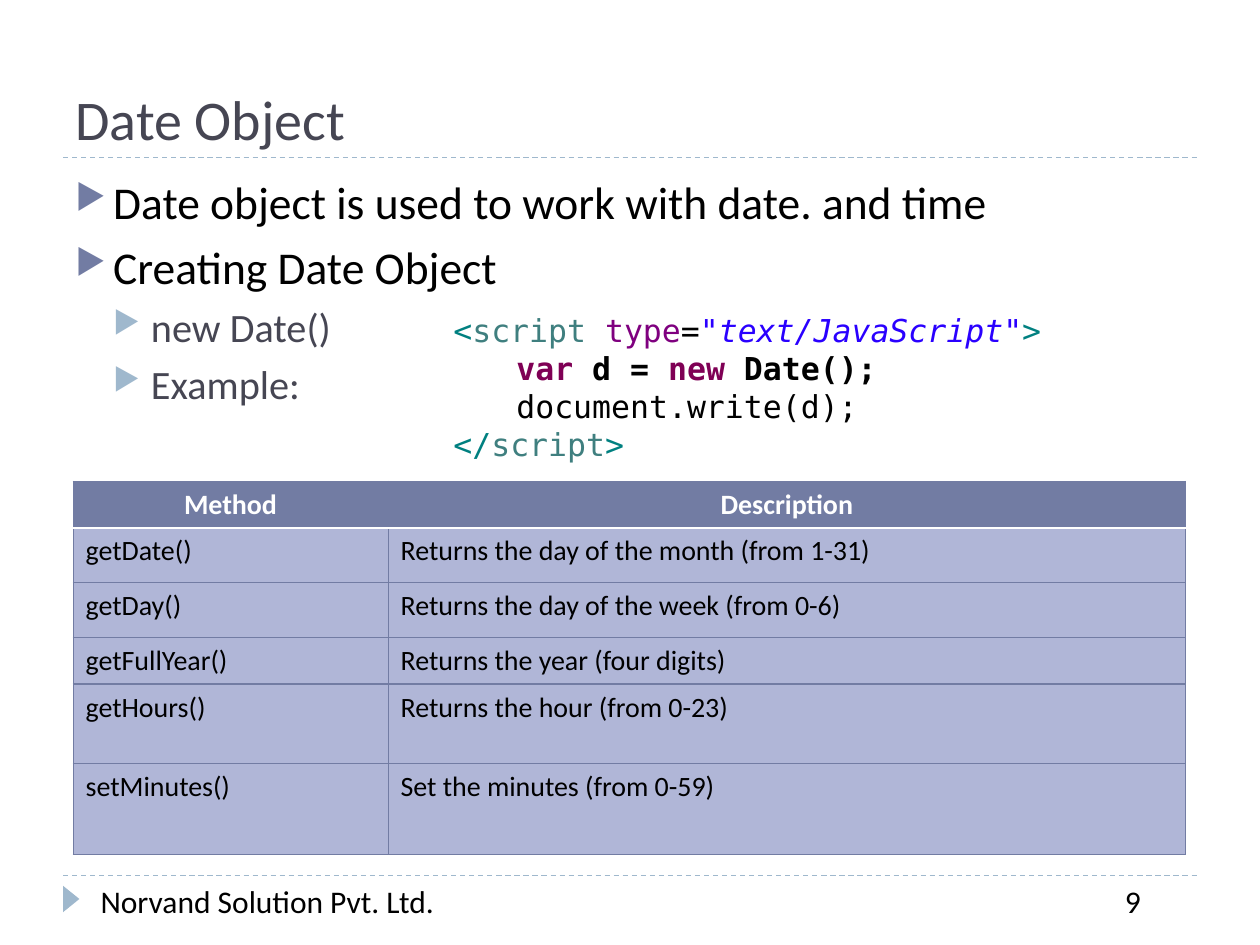
import pptx
import pptx.util
import pptx.dml.color
import pptx.enum.dml
import pptx.enum.shapes
import pptx.enum.text
import pptx.oxml
import pptx.oxml.ns

HUES = {
    "ink": "000000", "white": "FFFFFF", "title": "464653", "main": "727CA3",
    "pale": "9FB8CD", "cell": "B0B6D7", "tag": "008080", "name": "3F7F7F",
    "attr": "7F007F", "text": "2A00FF", "key": "7F0055",
}
COLS, ROWS = 20, 15
SANS, MONO = "Calibri", "DejaVu Sans Mono"

deck = pptx.Presentation()
deck.slide_width = pptx.util.Inches(10)
deck.slide_height = pptx.util.Inches(7.5)
slide = deck.slides.add_slide(deck.slide_layouts[6])


def across(n):
    return int(deck.slide_width * n / COLS)


def down(n):
    return int(deck.slide_height * n / ROWS)


def place(box):
    left, top, wide, high = box
    return across(left), down(top), across(wide), down(high)


def rgb(hue):
    return pptx.dml.color.RGBColor.from_string(HUES[hue])


def node(xml):
    return pptx.oxml.parse_xml(xml.replace(">", " " + pptx.oxml.ns.nsdecls("a") + ">", 1))


def write(par, text, size=18, font=SANS, hue="ink", bold=False, slant=False):
    run = par.add_run()
    run.text = text
    run.font.size = pptx.util.Pt(size)
    run.font.name = font
    run.font.color.rgb = rgb(hue)
    run.font.bold = bold
    run.font.italic = slant


def frame(box, low=False):
    text = slide.shapes.add_textbox(*place(box)).text_frame
    text.word_wrap = True
    if low:
        text.vertical_anchor = pptx.enum.text.MSO_ANCHOR.BOTTOM
    return text


def lines(text, count):
    return [text.paragraphs[0]] + [text.add_paragraph() for _ in range(count - 1)]


def indent(par, left, hang=0):
    prop = par._p.get_or_add_pPr()
    prop.set("marL", str(pptx.util.Inches(left)))
    prop.set("indent", str(-pptx.util.Inches(hang)))
    return prop


def rule(left, top, wide):
    line = slide.shapes.add_connector(
        pptx.enum.shapes.MSO_CONNECTOR.STRAIGHT,
        across(left), down(top), across(left + wide), down(top))
    line.line.color.rgb = rgb("pale")
    line.line.width = pptx.util.Pt(0.75)
    line.line.dash_style = pptx.enum.dml.MSO_LINE.DASH
    line._element.spPr.append(node("<a:effectLst></a:effectLst>"))


def header(box, text):
    left, top, wide, high = box
    write(frame(box, low=True).paragraphs[0], text, size=32, hue="title")
    rule(left, top + high, wide)


def points(box, items):
    # Size, text colour, bullet colour and space before, by level
    looks = [(26, "ink", "main", 6), (23, "title", "pale", 5)]
    for par, (level, text) in zip(lines(frame(box), len(items)), items):
        size, hue, mark, gap = looks[level]
        par.level = level
        par.space_before = pptx.util.Pt(gap)
        prop = indent(par, 0.3 * (level + 1), 0.3)
        prop.append(node(f'<a:buClr><a:srgbClr val="{HUES[mark]}"/></a:buClr>'))
        prop.append(node('<a:buSzPct val="76000"></a:buSzPct>'))
        prop.append(node('<a:buChar char="▶"></a:buChar>'))
        write(par, text, size=size, hue=hue)


def code(box, rows):
    for par, (level, bold, parts) in zip(lines(frame(box), len(rows)), rows):
        par.level = level
        indent(par, 0.5 * level)
        for text, hue in parts:
            write(par, text, font=MONO, hue=hue, bold=bold, slant=hue == "text")


def edge(cell, side, hue="main", width=0.75):
    cell._tc.get_or_add_tcPr().append(node(
        f'<a:ln{side} w="{pptx.util.Pt(width)}"><a:solidFill>'
        f'<a:srgbClr val="{HUES[hue]}"/></a:solidFill></a:ln{side}>'))


def grid(box, cols, rows, data):
    table = slide.shapes.add_table(len(rows), len(cols), *place(box)).table
    for col, share in zip(table.columns, cols):
        col.width = across(share)
    for row, share in zip(table.rows, rows):
        row.height = down(share)
    for r, texts in enumerate(data):
        head = r == 0
        for c, text in enumerate(texts):
            cell = table.cell(r, c)
            for side in "LRTB":
                if (r, side) in ((0, "B"), (1, "T")):
                    edge(cell, side, "white", 1.5)
                else:
                    edge(cell, side)
            cell.fill.solid()
            cell.fill.fore_color.rgb = rgb("main" if head else "cell")
            par = cell.text_frame.paragraphs[0]
            if head:
                par.alignment = pptx.enum.text.PP_ALIGN.CENTER
            write(par, text, size=16, hue="white" if head else "ink", bold=head)


def footer(box, firm, page):
    left, top, wide, high = box
    rule(left, top, wide)
    # Marker
    mark = slide.shapes.add_shape(
        pptx.enum.shapes.MSO_SHAPE.ISOSCELES_TRIANGLE,
        *place((left - 0.08, top + 0.24, 0.42, 0.26)))
    mark.rotation = 90
    mark.shadow.inherit = False
    mark.fill.solid()
    mark.fill.fore_color.rgb = rgb("pale")
    mark.line.fill.background()
    # Firm and page number
    write(frame((left + 0.4, top, 7.6, high)).paragraphs[0], firm)
    write(frame((left + wide - 1.34, top, 1.34, high)).paragraphs[0], page)


header((1, 0.34, 18, 2.16), "Date Object")
points((1, 2.66, 18, 4.16), [
    (0, "Date object is used to work with date. and time"),
    (0, "Creating Date Object"),
    (1, "new Date()"),
    (1, "Example:"),
])
code((7, 4.84, 10, 2.62), [
    (0, False, [("<", "tag"), ("script ", "name"), ("type", "attr"), ("=", "ink"),
                ('"text/JavaScript"', "text"), (">", "tag")]),
    (1, True, [("var", "key"), (" d = ", "ink"), ("new", "key"), (" Date();", "ink")]),
    (1, False, [("document.write(d);", "ink")]),
    (0, False, [("</", "tag"), ("script", "name"), (">", "tag")]),
])
grid((1.16, 7.64, 17.66, 5.92), (5, 12.66), (0.74, 0.87, 0.87, 0.74, 1.26, 1.44), [
    ("Method", "Description"),
    ("getDate()", "Returns the day of the month (from 1-31)"),
    ("getDay()", "Returns the day of the week (from 0-6)"),
    ("getFullYear()", "Returns the year (four digits)"),
    ("getHours()", "Returns the hour (from 0-23)"),
    ("setMinutes()", "Set the minutes (from 0-59)"),
])
footer((1, 13.9, 18, 0.8), "Norvand Solution Pvt. Ltd.", "9")

deck.save("out.pptx")
